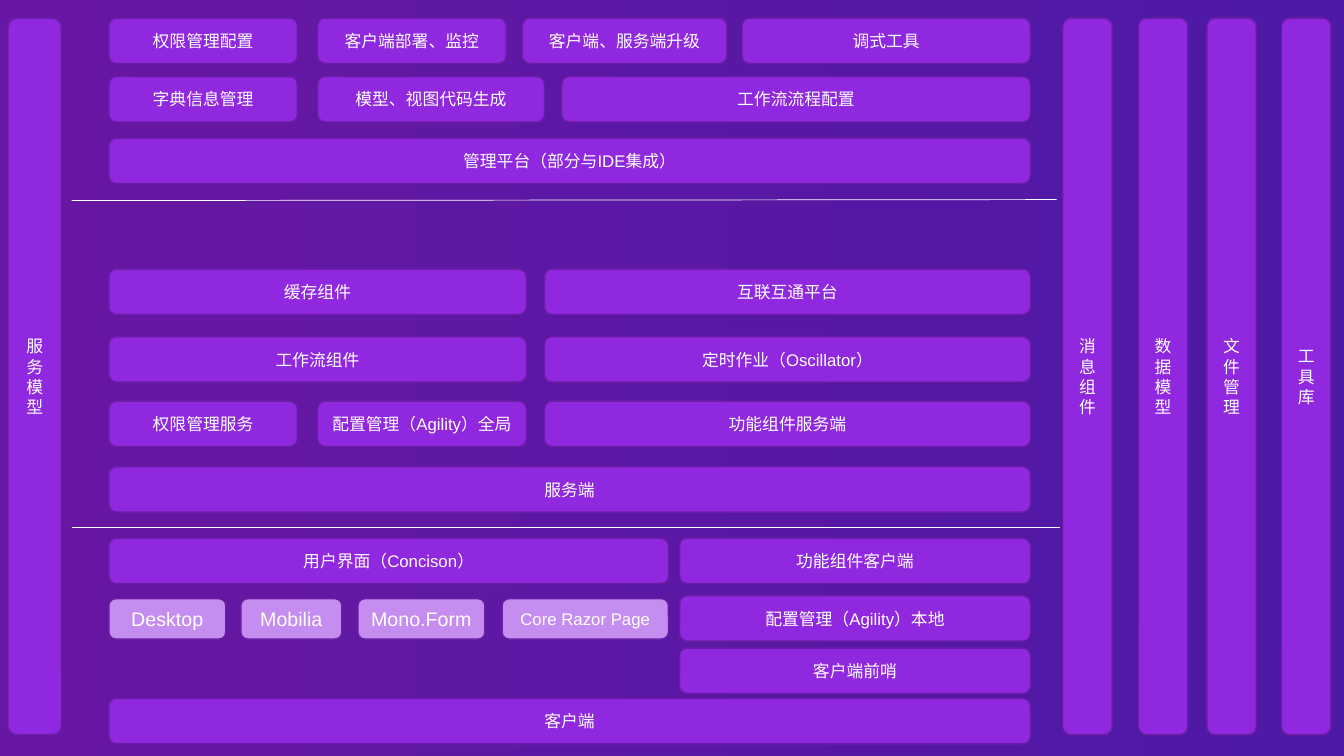
import pptx
import pptx.util
import pptx.dml.color
import pptx.enum.shapes
import pptx.enum.text
import pptx.oxml.ns
import lxml.etree

Inches, Pt = pptx.util.Inches, pptx.util.Pt
RGBColor = pptx.dml.color.RGBColor

BG_LEFT = RGBColor(0x67, 0x17, 0xA3)
BG_RIGHT = RGBColor(0x4D, 0x19, 0xA5)
PURPLE = RGBColor(0x90, 0x28, 0xDF)
LILAC = RGBColor(0xC5, 0x8D, 0xEF)
EDGE = RGBColor(0x6B, 0x1E, 0xA5)
WHITE = RGBColor(0xFF, 0xFF, 0xFF)

# Vertical edges of the grid, in inches
LEFT, RIGHT = 1.08, 10.22
COL1_END, COL2 = 2.95, 3.15
HALF_END, HALF = 5.22, 5.4
UI_END, CLIENT = 6.63, 6.74
BOX_H, CHIP_TOP, CHIP_H = 0.45, 5.94, 0.4
BAR_TOP, BAR_H, BAR_W = 0.18, 7.11, 0.49

# Each row: top, then (left edge, right edge, label)
ROWS = [
    (0.18, [(LEFT, COL1_END, "权限管理配置"), (COL2, 5.02, "客户端部署、监控"),
            (5.18, 7.21, "客户端、服务端升级"), (7.36, RIGHT, "调式工具")]),
    (0.76, [(LEFT, COL1_END, "字典信息管理"), (COL2, 5.4, "模型、视图代码生成"),
            (5.57, RIGHT, "工作流流程配置")]),
    (1.37, [(LEFT, RIGHT, "管理平台（部分与IDE集成）")]),
    (2.67, [(LEFT, HALF_END, "缓存组件"), (HALF, RIGHT, "互联互通平台")]),
    (3.34, [(LEFT, HALF_END, "工作流组件"), (HALF, RIGHT, "定时作业（Oscillator）")]),
    (3.98, [(LEFT, COL1_END, "权限管理服务"), (COL2, HALF_END, "配置管理（Agility）全局"),
            (HALF, RIGHT, "功能组件服务端")]),
    (4.63, [(LEFT, RIGHT, "服务端")]),
    (5.34, [(LEFT, UI_END, "用户界面（Concison）"), (CLIENT, RIGHT, "功能组件客户端")]),
    (5.91, [(CLIENT, RIGHT, "配置管理（Agility）本地")]),
    (6.43, [(CLIENT, RIGHT, "客户端前哨")]),
    (6.93, [(LEFT, RIGHT, "客户端")]),
]
# User interface technologies: left edge, right edge, label, text size
CHIPS = [(LEFT, 2.24, "Desktop", 14), (2.39, 3.39, "Mobilia", 14),
         (3.55, 4.81, "Mono.Form", 14), (4.98, UI_END, "Core Razor Page", 12)]
# Full-height bars: left edge, width, paragraphs
BARS = [(0.08, 0.53, ["服务模型"]), (10.54, BAR_W, ["消息", "组件"]),
        (11.29, BAR_W, ["数据模型"]), (11.97, BAR_W, ["文件管理"]),
        (12.71, BAR_W, ["工具库"])]
# Separators between the tiers: x1, y1, x2, y2
SEPARATORS = [(0.71, 1.99, 10.48, 1.98), (0.71, 5.23, 10.51, 5.23)]


def add_box(s, x, y, w, h, lines, fill=PURPLE, size=12):
    """Add a rounded box with centred white text."""
    sp = s.shapes.add_shape(pptx.enum.shapes.MSO_SHAPE.ROUNDED_RECTANGLE,
                            Inches(x), Inches(y), Inches(w), Inches(h))
    sp.shadow.inherit = False
    sp.fill.solid()
    sp.fill.fore_color.rgb = fill
    sp.line.color.rgb = EDGE
    sp.line.width = Pt(1)
    tf = sp.text_frame
    tf.word_wrap = True
    tf.vertical_anchor = pptx.enum.text.MSO_ANCHOR.MIDDLE
    for i, text in enumerate(lines):
        p = tf.add_paragraph() if i else tf.paragraphs[0]
        p.alignment = pptx.enum.text.PP_ALIGN.CENTER
        r = p.add_run()
        r.text = text
        r.font.name = "Arial"
        r.font.size = Pt(size)
        r.font.color.rgb = WHITE


def add_separator(s, *ends):
    """Add a thin white line without a shadow."""
    line = s.shapes.add_connector(pptx.enum.shapes.MSO_CONNECTOR.STRAIGHT,
                                  *[Inches(v) for v in ends])
    line.line.color.rgb = WHITE
    line.line.width = Pt(0.5)
    lxml.etree.SubElement(line._element.spPr, pptx.oxml.ns.qn("a:effectLst"))


def set_background(s):
    """Fill the background with a left-to-right gradient."""
    fill = s.background.fill
    fill.gradient()
    fill.gradient_angle = 0
    for stop, color in zip(fill.gradient_stops, (BG_LEFT, BG_RIGHT)):
        stop.color.rgb = color


prs = pptx.Presentation()
prs.slide_width, prs.slide_height = Inches(13.33), Inches(7.5)
s = prs.slides.add_slide(prs.slide_layouts[6])
set_background(s)
for top, boxes in ROWS:
    for left, right, label in boxes:
        add_box(s, left, top, right - left, BOX_H, [label])
for left, right, label, size in CHIPS:
    add_box(s, left, CHIP_TOP, right - left, CHIP_H, [label], LILAC, size)
for left, width, lines in BARS:
    add_box(s, left, BAR_TOP, width, BAR_H, lines)
for ends in SEPARATORS:
    add_separator(s, *ends)
prs.save("out.pptx")
